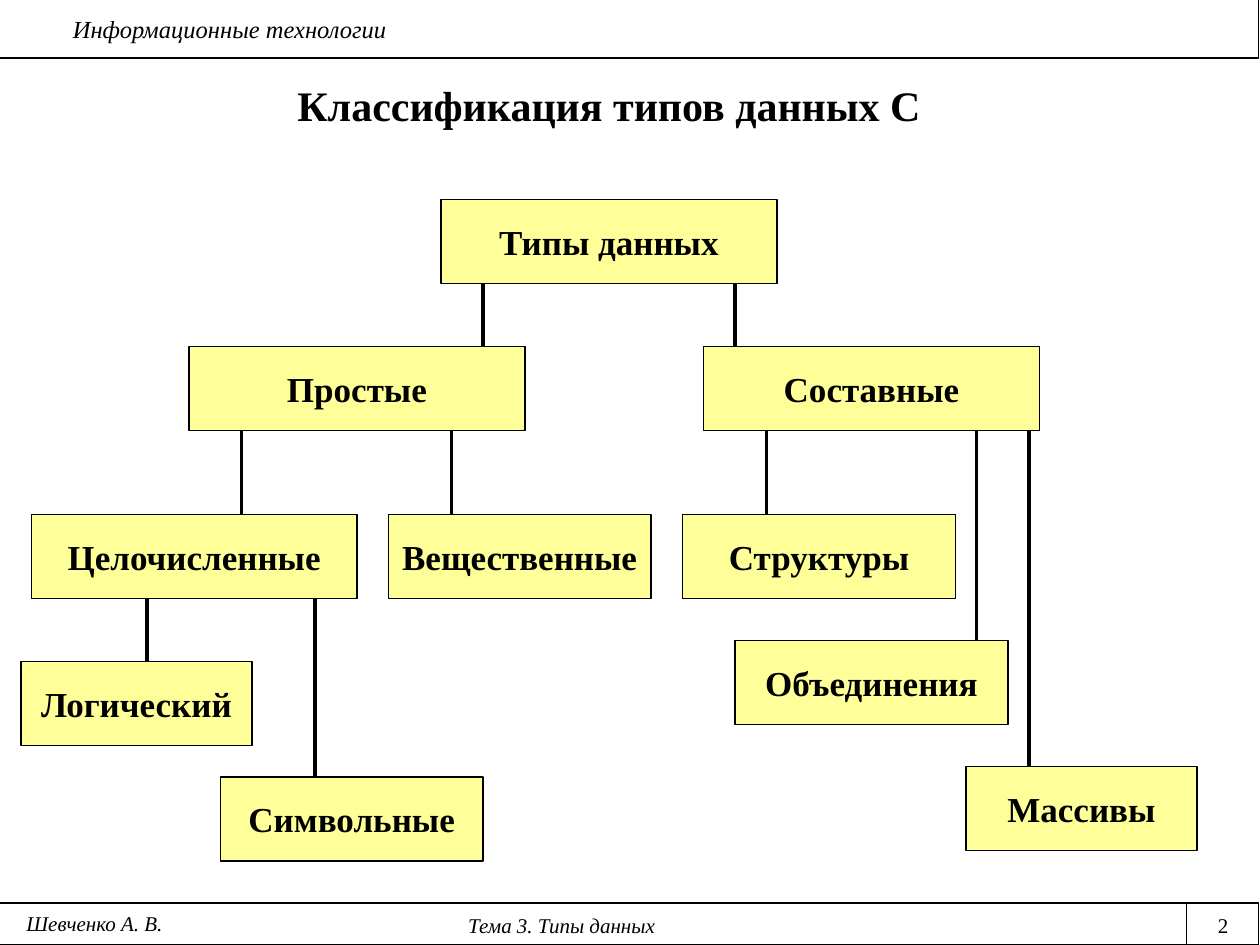
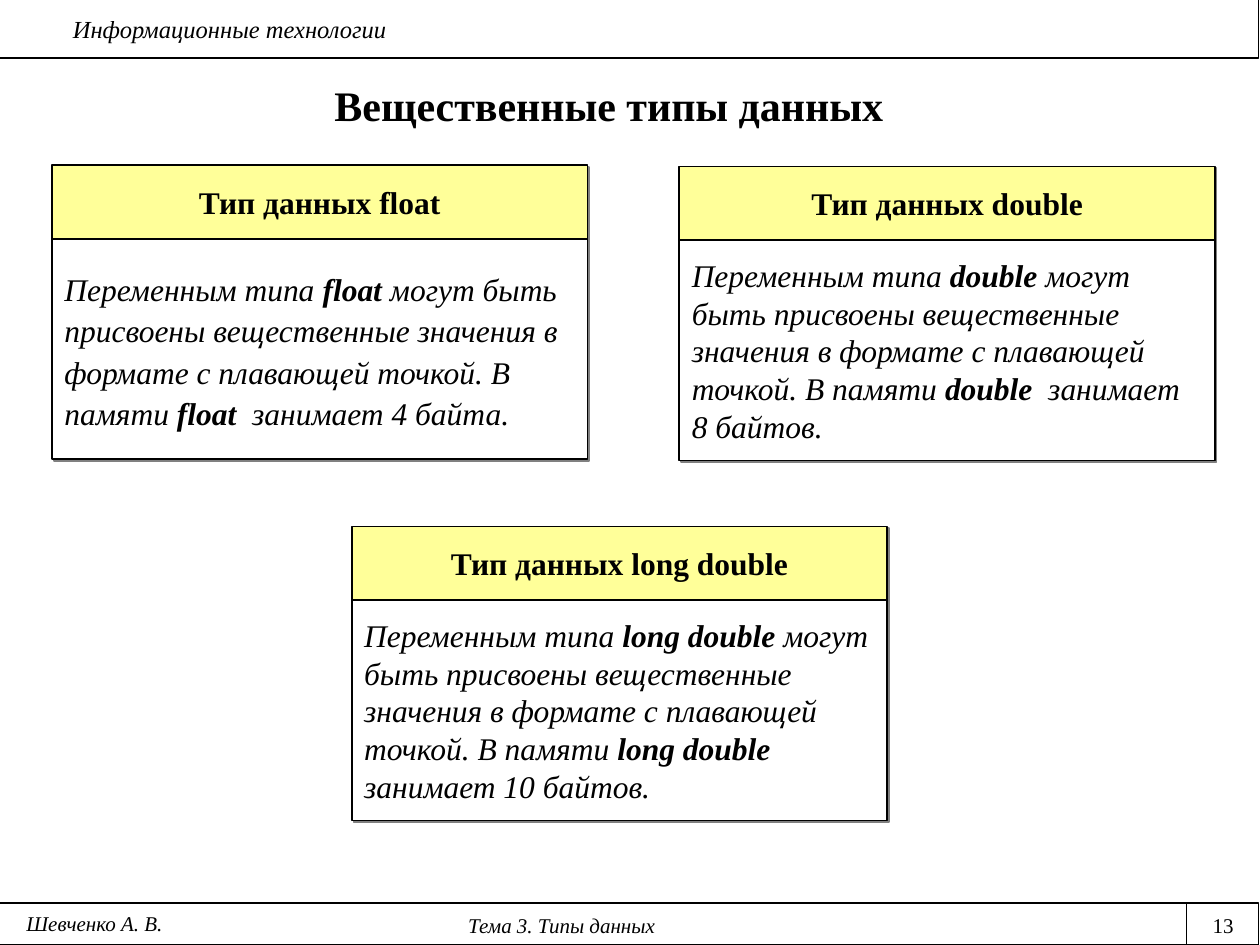
from lxml import etree
from pptx import Presentation
from pptx.dml.color import RGBColor
from pptx.enum.shapes import MSO_CONNECTOR, MSO_SHAPE
from pptx.enum.text import MSO_ANCHOR, MSO_AUTO_SIZE, PP_ALIGN
from pptx.oxml.ns import qn
from pptx.util import Inches, Pt

LEFT, CENTER = PP_ALIGN.LEFT, PP_ALIGN.CENTER
TOP, MIDDLE = MSO_ANCHOR.TOP, MSO_ANCHOR.MIDDLE
GROW, FIXED = MSO_AUTO_SIZE.SHAPE_TO_FIT_TEXT, MSO_AUTO_SIZE.NONE
RECT, STRAIGHT = MSO_SHAPE.RECTANGLE, MSO_CONNECTOR.STRAIGHT

FONT = "Times New Roman"
BLACK, WHITE, YELLOW, GRAY = "000000", "FFFFFF", "FFFF99", "808080"
COLS, ROWS = 120, 90  # a grid of twelve cells to the inch
TITLE_ONLY = 5


def color(code):
    return RGBColor.from_string(code)


class Deck:
    def __init__(self):
        self.prs = Presentation()
        self.prs.slide_width, self.prs.slide_height = Inches(10), Inches(7.5)
        self.slide = None

    def x(self, col):
        return round(self.prs.slide_width * col / COLS)

    def y(self, row):
        return round(self.prs.slide_height * row / ROWS)

    def area(self, col, row, width, height):
        return self.x(col), self.y(row), self.x(width), self.y(height)

    def put(self, frame, runs, size, align=CENTER, anchor=MIDDLE, fit=FIXED,
            before=0, leading=1.0):
        """Each run is (text, bold, italic)."""
        frame.word_wrap = True
        frame.auto_size = fit
        frame.vertical_anchor = anchor
        para = frame.paragraphs[0]
        para.alignment = align
        para.space_before = Pt(before)
        para.line_spacing = leading
        for text, bold, italic in runs:
            run = para.add_run()
            run.text = text
            font = run.font
            font.name, font.size = FONT, Pt(size)
            font.bold, font.italic = bold, italic
            font.color.rgb = color(BLACK)

    def text(self, place, words, size, align=CENTER, italic=True, before=0):
        box = self.slide.shapes.add_textbox(*self.area(*place))
        self.put(box.text_frame, [(words, False, italic)], size, align,
                 TOP, GROW, before)

    def box(self, place, fill, width=1.0):
        shape = self.slide.shapes.add_shape(RECT, *self.area(*place))
        shape.shadow.inherit = False
        shape.fill.solid()
        shape.fill.fore_color.rgb = color(fill)
        shape.line.color.rgb = color(BLACK)
        shape.line.width = Pt(width)
        return shape

    def line(self, col, top, bottom, width):
        link = self.slide.shapes.add_connector(
            STRAIGHT, self.x(col), self.y(top), self.x(col), self.y(bottom))
        link.line.color.rgb = color(BLACK)
        link.line.width = Pt(width)
        etree.SubElement(link._element.spPr, qn("a:effectLst"))

    def shade(self, shape):
        effects = shape._element.spPr.find(qn("a:effectLst"))
        outer = etree.SubElement(effects, qn("a:outerShdw"), blurRad="0",
                                 dist=str(Pt(1.4)), dir="2700000",
                                 algn="ctr", rotWithShape="0")
        etree.SubElement(outer, qn("a:srgbClr"), val=GRAY)

    def start(self, title, number):
        layout = self.prs.slide_layouts[TITLE_ONLY]
        self.slide = self.prs.slides.add_slide(layout)
        # Bands with header and footer
        self.box((-0.12, 86, COLS, 4), WHITE, 0.75)
        self.box((-0.12, -0.12, COLS, 5.64), WHITE, 0.75)
        self.text((5.76, 0.72, 113, 4.1), "Информационные технологии", 14, LEFT)
        self.text((0, 86.28, 107, 3.6), "Тема 3. Типы данных", 12, before=7.5)
        self.text((113, 86.28, 7, 3.6), number, 12, italic=False, before=7.5)
        self.line(113, 86, ROWS, 0.75)
        self.text((0, 86.1, 18, 3.6), "Шевченко А. В.", 12, before=7.5)
        # Title
        head = self.slide.shapes.title
        head.left, head.top, head.width, head.height = self.area(3, 7, 110, 6)
        self.put(head.text_frame, [(title, True, False)], 24)

    def node(self, name, col, row, width):
        shape = self.box((col, row, width, NODE_ROWS), YELLOW)
        self.put(shape.text_frame, [(name, True, False)], 20)

    def card(self, kind, size, col, row, leading):
        head = self.box((col, row, CARD_COLS, HEAD_ROWS), YELLOW)
        self.put(head.text_frame, [(f"Тип данных {kind}", True, False)], 18)
        body = self.box((col, row + HEAD_ROWS, CARD_COLS, BODY_ROWS), WHITE)
        runs = [("Переменным типа ", False, True),
                (f"{kind} ", True, True),
                ("могут быть присвоены вещественные значения в формате "
                 "с плавающей точкой. В памяти ", False, True),
                (f"{kind} ", True, True),
                (f" занимает {size}.", False, True)]
        self.put(body.text_frame, runs, 18, LEFT, leading=leading)
        for part in (head, body):
            self.shade(part)


# Tree of types: name -> column, row, width
NODE_ROWS = 8
NODES = {
    "Типы данных": (42, 19, 32),
    "Простые": (18, 33, 32),
    "Составные": (67, 33, 32),
    "Целочисленные": (3, 49, 31),
    "Вещественные": (37, 49, 25),
    "Массивы": (92, 73, 22),
    "Объединения": (70, 61, 26),
    "Структуры": (65, 49, 26),
    "Логический": (2, 63, 22),
    "Символьные": (21, 74, 25),
}
# Parent, child, column of the link
LINKS = [
    ("Типы данных", "Простые", 46),
    ("Типы данных", "Составные", 70),
    ("Простые", "Целочисленные", 23),
    ("Простые", "Вещественные", 43),
    ("Составные", "Структуры", 73),
    ("Составные", "Объединения", 93),
    ("Составные", "Массивы", 98),
    ("Целочисленные", "Логический", 14),
    ("Целочисленные", "Символьные", 30),
]

# Cards of real types: kind, size, column, row, line spacing
CARD_COLS, HEAD_ROWS, BODY_ROWS = 51, 7, 21
CARDS = [
    ("float", "4 байта", 4.95, 15.75, 1.1),
    ("double", "8 байтов", 64.7, 15.85, 1.0),
    ("long double", "10 байтов", 33.5, 50.15, 1.0),
]


def main():
    deck = Deck()

    # Slide with the tree
    deck.start("Классификация типов данных С", "2")
    for name, place in NODES.items():
        deck.node(name, *place)
    for parent, child, col in LINKS:
        deck.line(col, NODES[parent][1] + NODE_ROWS, NODES[child][1], 2.25)

    # Slide with the cards
    deck.start("Вещественные типы данных", "13")
    for card in CARDS:
        deck.card(*card)

    deck.prs.save("out.pptx")


if __name__ == "__main__":
    main()
